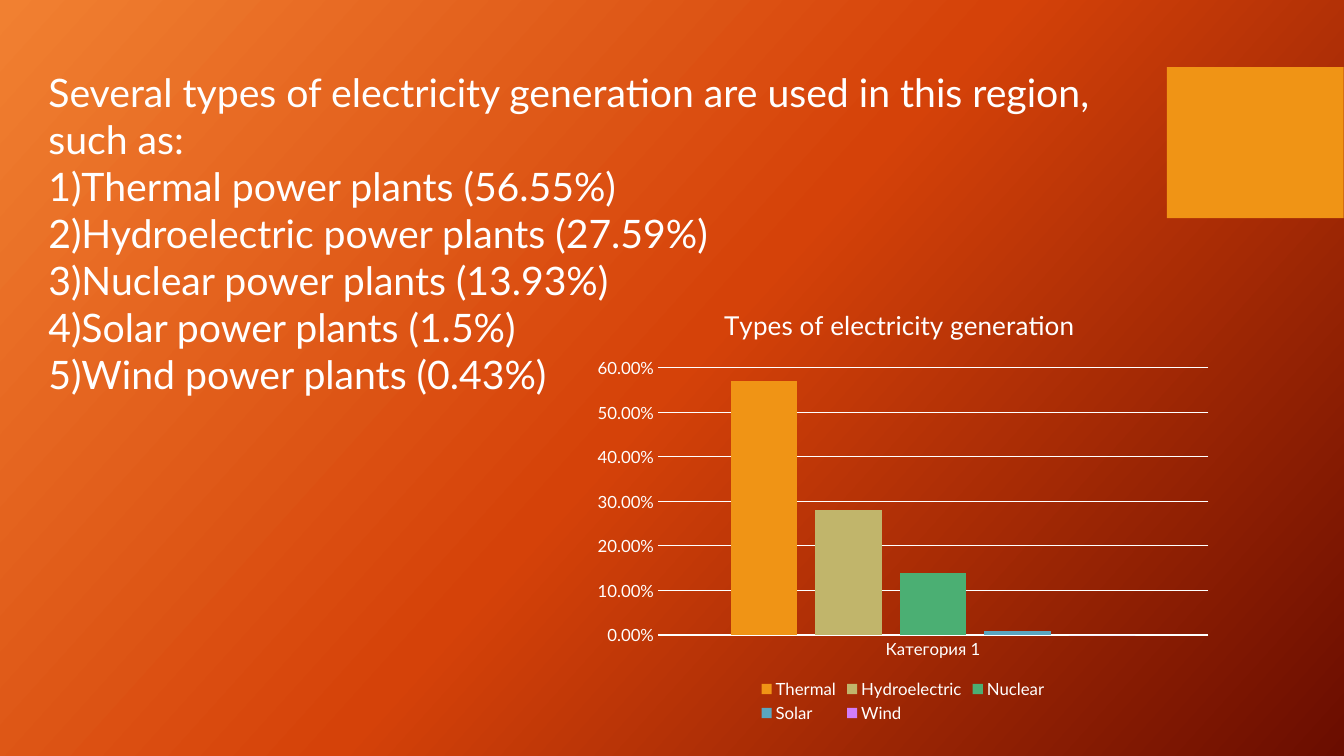
from copy import deepcopy

from pptx import Presentation
from pptx.chart.data import CategoryChartData
from pptx.dml.color import RGBColor
from pptx.enum.chart import XL_CHART_TYPE, XL_LEGEND_POSITION, XL_TICK_MARK
from pptx.enum.shapes import MSO_SHAPE
from pptx.oxml.ns import qn
from pptx.util import Cm, Pt

COLUMNS = XL_CHART_TYPE.COLUMN_CLUSTERED
LEGEND_BOTTOM = XL_LEGEND_POSITION.BOTTOM
NO_TICK = XL_TICK_MARK.NONE
RECTANGLE = MSO_SHAPE.RECTANGLE

FONT = "Lato"
WHITE = RGBColor(0xFF, 0xFF, 0xFF)
AMBER = RGBColor(0xF0, 0x94, 0x15)
KHAKI = RGBColor(0xC1, 0xB5, 0x6B)
GREEN = RGBColor(0x4B, 0xAF, 0x73)
BLUE = RGBColor(0x5A, 0xA6, 0xC0)
VIOLET = RGBColor(0xD1, 0x7D, 0xF9)
BACKGROUND = (
    RGBColor(0xF1, 0x80, 0x31),
    RGBColor(0xD5, 0x42, 0x09),
    RGBColor(0x6A, 0x0D, 0x00),
)

LINES = (
    "Several types of electricity generation are used in this region, such as:",
    "1)Thermal power plants (56.55%)",
    "2)Hydroelectric power plants (27.59%)",
    "3)Nuclear power plants (13.93%)",
    "4)Solar power plants (1.5%)",
    "5)Wind power plants (0.43%)",
)
GENERATION = (
    ("Thermal", 0.57, AMBER),
    ("Hydroelectric", 0.28, KHAKI),
    ("Nuclear", 0.14, GREEN),
    ("Solar", 0.01, BLUE),
    ("Wind", 0, VIOLET),
)


def style_font(font, size):
    font.name = FONT
    font.size = Pt(size)
    font.bold = False
    font.color.rgb = WHITE


def style_line(line):
    line.color.rgb = WHITE
    line.width = Pt(0.75)


def paint_background(page):
    """Fill the page with evenly spaced gradient stops, 42 degrees clockwise."""
    fill = page.background.fill
    fill.gradient()
    fill.gradient_angle = 360 - 42
    stop_list = page.element.find(".//" + qn("a:gsLst"))
    stop_list.append(deepcopy(stop_list[-1]))
    for index, (stop, color) in enumerate(zip(fill.gradient_stops, BACKGROUND)):
        stop.position = index / (len(BACKGROUND) - 1)
        stop.color.rgb = color


def add_accent_block(page):
    block = page.shapes.add_shape(RECTANGLE, Cm(29.41), Cm(1.69), Cm(4.45), Cm(3.81))
    block.shadow.inherit = False
    block.fill.solid()
    block.fill.fore_color.rgb = AMBER
    block.line.fill.background()


def add_text(page):
    box = page.shapes.add_textbox(Cm(0.97), Cm(1.59), Cm(28.14), Cm(8.64))
    frame = box.text_frame
    frame.word_wrap = True
    frame.text = "\n".join(LINES)
    for para in frame.paragraphs:
        for span in para.runs:
            style_font(span.font, 28)


def style_axes(chart):
    for axis in (chart.category_axis, chart.value_axis):
        axis.major_tick_mark = NO_TICK
        axis.minor_tick_mark = NO_TICK
        style_font(axis.tick_labels.font, 12)
    style_line(chart.category_axis.format.line)
    values = chart.value_axis
    values.format.line.fill.background()
    values.minimum_scale, values.maximum_scale, values.major_unit = 0, 0.6, 0.1
    values.tick_labels.number_format = "0.00%"
    values.tick_labels.number_format_is_linked = False
    style_line(values.major_gridlines.format.line)


def add_generation_chart(page):
    data = CategoryChartData(number_format="0.00%")
    data.categories = ["Категория 1"]
    for name, share, _ in GENERATION:
        data.add_series(name, [share])
    chart = page.shapes.add_chart(
        COLUMNS, Cm(14.74), Cm(7.25), Cm(16.03), Cm(11.07), data
    ).chart
    style_font(chart.font, 10)

    chart.has_title = True
    title = chart.chart_title.text_frame
    title.text = "Types of electricity generation "
    style_font(title.paragraphs[0].runs[0].font, 18.6)

    chart.has_legend = True
    chart.legend.position = LEGEND_BOTTOM
    chart.legend.include_in_layout = False
    style_font(chart.legend.font, 12)
    style_axes(chart)

    plot = chart.plots[0]
    plot.vary_by_categories = False
    plot.gap_width = 219
    plot.overlap = -27
    for series, (_, _, color) in zip(plot.series, GENERATION):
        series.format.fill.solid()
        series.format.fill.fore_color.rgb = color


def main():
    deck = Presentation()
    deck.slide_width, deck.slide_height = Cm(33.87), Cm(19.05)
    page = deck.slides.add_slide(deck.slide_layouts[6])
    paint_background(page)
    add_accent_block(page)
    add_text(page)
    add_generation_chart(page)
    deck.save("out.pptx")


if __name__ == "__main__":
    main()
